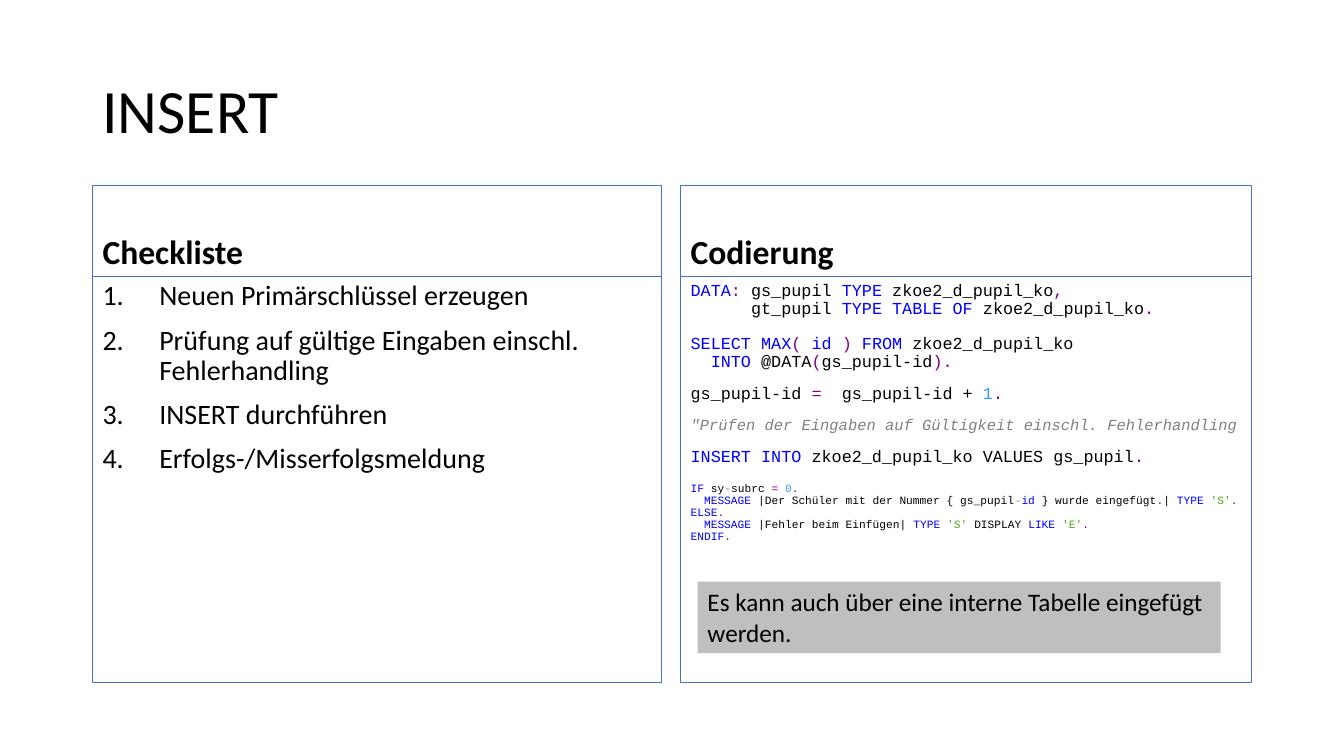
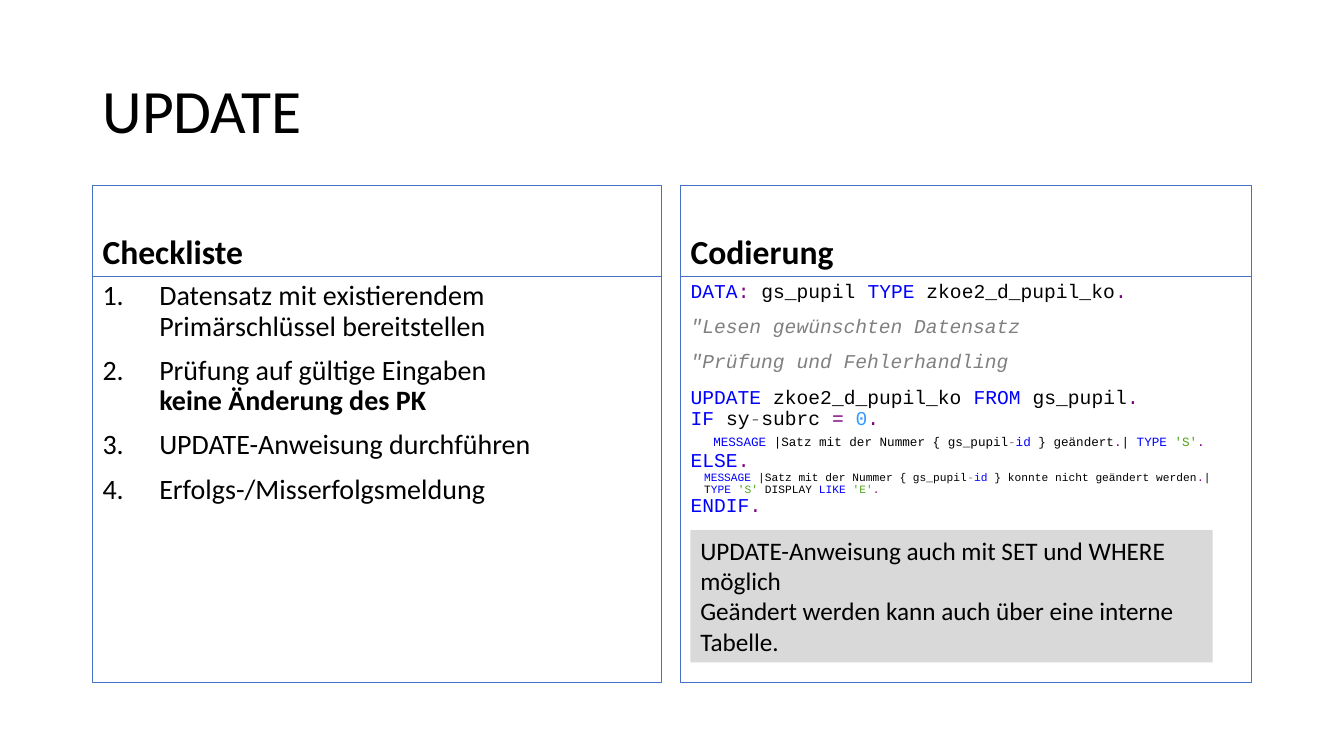
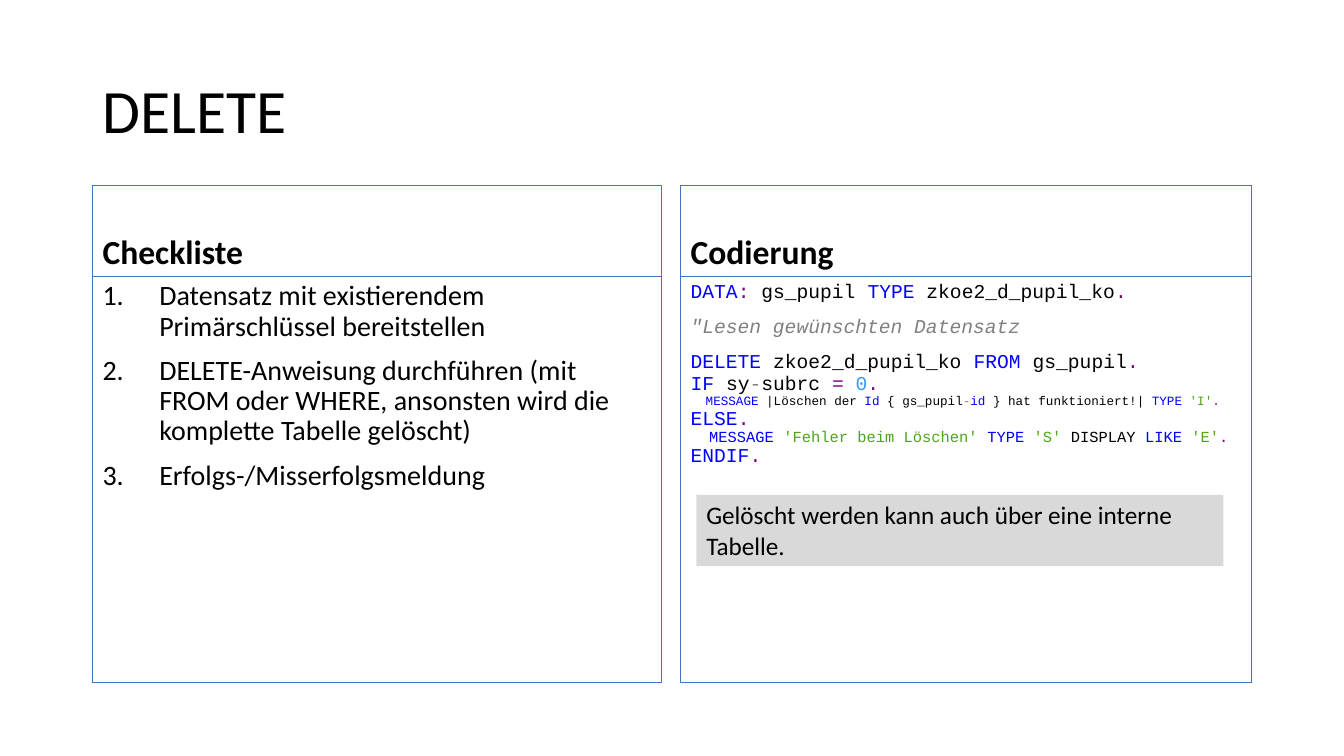
from dataclasses import dataclass

from lxml import etree
from pptx import Presentation
from pptx.dml.color import RGBColor
from pptx.enum.shapes import MSO_SHAPE
from pptx.enum.text import MSO_ANCHOR, MSO_AUTO_SIZE, PP_ALIGN
from pptx.oxml.ns import qn
from pptx.util import Cm, Pt

RECTANGLE = MSO_SHAPE.RECTANGLE
TOP, MIDDLE, BOTTOM = MSO_ANCHOR.TOP, MSO_ANCHOR.MIDDLE, MSO_ANCHOR.BOTTOM
NO_FIT, GROW = MSO_AUTO_SIZE.NONE, MSO_AUTO_SIZE.SHAPE_TO_FIT_TEXT
LEFT = PP_ALIGN.LEFT

BLACK = RGBColor(0x00, 0x00, 0x00)
FRAME_BLUE = RGBColor(0x44, 0x72, 0xC4)
KEYWORD_BLUE = RGBColor(0x00, 0x00, 0xFF)
SIGN_PURPLE = RGBColor(0x80, 0x00, 0x80)
NUMBER_BLUE = RGBColor(0x33, 0x99, 0xFF)
STRING_GREEN = RGBColor(0x4D, 0xA6, 0x19)
COMMENT_GREY = RGBColor(0x80, 0x80, 0x80)
NOTE_GREY = RGBColor(0xBF, 0xBF, 0xBF)
NOTE_LIGHT_GREY = RGBColor(0xD9, 0xD9, 0xD9)

TEXT_FONT, CODE_FONT = "Calibri", "Courier New"
CODE_CHARACTER_WIDTH = 0.6
COMPARISON_LAYOUT = 4

# "§" and a letter start a run in that colour; "§/" breaks the line, "§b" is bold.
COLOURS = {
    "t": BLACK,
    "b": BLACK,
    "k": KEYWORD_BLUE,
    "p": SIGN_PURPLE,
    "n": NUMBER_BLUE,
    "s": STRING_GREEN,
    "g": COMMENT_GREY,
    "c": COMMENT_GREY,
}

TITLE_BOX = (2.33, 1.02, 29.21, 3.68)
COLUMNS = ((2.33, 14.33), (17.15, 14.4))
HEADING_TOP, HEADING_HEIGHT, CONTENT_HEIGHT = 4.68, 2.29, 10.24
LIST_INDENT = Cm(1.43)


@dataclass
class CodeLine:
    """A line of marked-up code, indented by a number of characters."""
    markup: str
    size: int
    columns: int = 0
    space: int = 0


def place(shape, box):
    shape.left, shape.top, shape.width, shape.height = (Cm(value) for value in box)


def write(paragraph, markup, size, font=TEXT_FONT, bold=False, space=0,
          line_spacing=0.9, indent=0, hanging=0, numbered=False):
    """Fill a paragraph with marked-up text and format it."""
    paragraph.alignment = LEFT
    paragraph.line_spacing = line_spacing
    paragraph.space_before = Pt(space)
    properties = paragraph._p.get_or_add_pPr()
    properties.set("marL", str(int(indent)))
    properties.set("indent", str(-int(hanging)))
    if numbered:
        etree.SubElement(properties, qn("a:buAutoNum"), type="arabicPeriod")
    else:
        etree.SubElement(properties, qn("a:buNone"))
    for chunk in ("t" + markup.removeprefix("§t")
                  if not markup.startswith("§") else markup[1:]).split("§"):
        style, text = chunk[0], chunk[1:]
        if style == "/":
            paragraph.add_line_break()
            continue
        run = paragraph.add_run()
        run.text = text
        run.font.name = font
        run.font.size = Pt(size)
        run.font.bold = bold or style == "b"
        run.font.italic = style == "c"
        run.font.color.rgb = COLOURS[style]


def prepare(shape, anchor, auto_size=NO_FIT):
    frame = shape.text_frame
    frame.word_wrap = True
    frame.vertical_anchor = anchor
    frame.auto_size = auto_size
    return frame


def next_paragraph(frame, index):
    return frame.paragraphs[0] if index == 0 else frame.add_paragraph()


def add_framed_box(slide, number, column, top, height, anchor):
    """Move and outline a body placeholder, and return its text frame."""
    shape = slide.placeholders[number]
    left, width = COLUMNS[column]
    place(shape, (left, top, width, height))
    shape.line.color.rgb = FRAME_BLUE
    shape.line.width = Pt(0.75)
    return prepare(shape, anchor)


def add_title(slide, text):
    place(slide.shapes.title, TITLE_BOX)
    frame = prepare(slide.shapes.title, MIDDLE)
    write(frame.paragraphs[0], text, 44)


def add_heading(slide, column, text):
    frame = add_framed_box(slide, 1 + 2 * column, column,
                           HEADING_TOP, HEADING_HEIGHT, BOTTOM)
    write(frame.paragraphs[0], text, 24, bold=True, space=10)


def add_content(slide, column):
    return add_framed_box(slide, 2 + 2 * column, column,
                          HEADING_TOP + HEADING_HEIGHT, CONTENT_HEIGHT, TOP)


def add_checklist(slide, items):
    frame = add_content(slide, 0)
    for index, item in enumerate(items):
        write(next_paragraph(frame, index), item, 20, space=10,
              indent=LIST_INDENT, hanging=LIST_INDENT, numbered=True)


def add_code(slide, lines):
    frame = add_content(slide, 1)
    for index, line in enumerate(lines):
        write(next_paragraph(frame, index), line.markup, line.size,
              font=CODE_FONT, space=line.space,
              indent=Pt(line.columns * line.size * CODE_CHARACTER_WIDTH))


def add_note(slide, box, fill, texts):
    shape = slide.shapes.add_shape(RECTANGLE, *(Cm(value) for value in box))
    shape.shadow.inherit = False
    shape.fill.solid()
    shape.fill.fore_color.rgb = fill
    shape.line.fill.background()
    frame = prepare(shape, TOP, GROW)
    for index, text in enumerate(texts):
        write(next_paragraph(frame, index), text, 18, line_spacing=1.0)


def add_statement_slide(presentation, title, checklist, code, note):
    layout = presentation.slide_layouts[COMPARISON_LAYOUT]
    slide = presentation.slides.add_slide(layout)
    add_title(slide, title)
    add_heading(slide, 0, "Checkliste")
    add_checklist(slide, checklist)
    add_heading(slide, 1, "Codierung")
    add_code(slide, code)
    add_note(slide, *note)


RECORD_ITEM = "Datensatz mit existierendem Primärschlüssel bereitstellen"
RESULT_ITEM = "Erfolgs-/Misserfolgsmeldung"
DECLARATION = CodeLine("§kDATA§p: §tgs_pupil §kTYPE §tzkoe2_d_pupil_ko§p.", 14)
READ_COMMENT = CodeLine('§c"Lesen gewünschten Datensatz', 14, space=10)
IF_MARKUP = "§kIF §tsy§g-§tsubrc §p= §n0§p."
ELSE_MARKUP = "§kELSE§p."
ENDIF_MARKUP = "§kENDIF§p."

INSERT_CODE = (
    CodeLine("§kDATA§p: §tgs_pupil §kTYPE §tzkoe2_d_pupil_ko§p,", 12),
    CodeLine("§tgt_pupil §kTYPE TABLE OF §tzkoe2_d_pupil_ko§p.", 12, columns=6),
    CodeLine("§kSELECT MAX§p( §kid §p) §kFROM §tzkoe2_d_pupil_ko", 12, space=12),
    CodeLine("§kINTO §t@DATA§p(§tgs_pupil-id§p).", 12, columns=2),
    CodeLine("§tgs_pupil-id §p=  §tgs_pupil-id + §n1§p.", 12, space=10),
    CodeLine('§c"Prüfen der Eingaben auf Gültigkeit einschl. Fehlerhandling',
             11, space=10),
    CodeLine("§kINSERT INTO §tzkoe2_d_pupil_ko VALUES gs_pupil§p.", 12, space=10),
    CodeLine(IF_MARKUP, 8, space=12),
    CodeLine("§kMESSAGE §t|Der Schüler mit der Nummer { gs_pupil§g-§kid "
             "§t} wurde eingefügt§p.§t| §kTYPE §s'S'§p.", 8, columns=2),
    CodeLine(ELSE_MARKUP, 8),
    CodeLine("§kMESSAGE §t|Fehler beim Einfügen| §kTYPE §s'S' §tDISPLAY "
             "§kLIKE §s'E'§p.", 8, columns=2),
    CodeLine(ENDIF_MARKUP, 8),
)

UPDATE_CODE = (
    DECLARATION,
    READ_COMMENT,
    CodeLine('§c"Prüfung und Fehlerhandling', 14, space=10),
    CodeLine("§kUPDATE §tzkoe2_d_pupil_ko §kFROM §tgs_pupil§p.", 14, space=10),
    CodeLine(IF_MARKUP, 14),
    CodeLine("§kMESSAGE §t|Satz mit der Nummer { gs_pupil§g-§kid "
             "§t} geändert§p.§t| §kTYPE §s'S'§p.", 9, columns=3, space=4),
    CodeLine(ELSE_MARKUP, 14, space=1),
    CodeLine("§kMESSAGE §t|Satz mit der Nummer { gs_pupil§g-§kid "
             "§t} konnte nicht geändert werden§p.§t|", 8, columns=2),
    CodeLine("§tT§kYPE §s'S' §tDISPLAY §kLIKE §s'E'§p.", 8, columns=2),
    CodeLine(ENDIF_MARKUP, 14),
)

DELETE_CODE = (
    DECLARATION,
    READ_COMMENT,
    CodeLine("§kDELETE §tzkoe2_d_pupil_ko §kFROM §tgs_pupil§p.", 14, space=10),
    CodeLine(IF_MARKUP, 14),
    CodeLine("§kMESSAGE §t|Löschen der §kId §t{ gs_pupil§g-§kid "
             "§t} hat funktioniert!| §kTYPE §s'I'§p.", 9, columns=2),
    CodeLine(ELSE_MARKUP, 14),
    CodeLine("§kMESSAGE §s'Fehler beim Löschen' §kTYPE §s'S' §tDISPLAY "
             "§kLIKE §s'E'§p.", 11, columns=2),
    CodeLine(ENDIF_MARKUP, 14),
)


def main():
    presentation = Presentation()
    presentation.slide_width, presentation.slide_height = Cm(33.87), Cm(19.05)
    add_statement_slide(
        presentation, "INSERT",
        ("Neuen Primärschlüssel erzeugen",
         "Prüfung auf gültige Eingaben einschl. Fehlerhandling",
         "INSERT durchführen",
         RESULT_ITEM),
        INSERT_CODE,
        ((17.58, 14.66, 13.18, 1.8), NOTE_GREY,
         ("Es kann auch über eine interne Tabelle eingefügt werden.",)))
    add_statement_slide(
        presentation, "UPDATE",
        (RECORD_ITEM,
         "Prüfung auf gültige Eingaben§/§bkeine Änderung des PK",
         "UPDATE-Anweisung durchführen",
         RESULT_ITEM),
        UPDATE_CODE,
        ((17.4, 13.36, 13.16, 3.33), NOTE_LIGHT_GREY,
         ("UPDATE-Anweisung auch mit SET und WHERE möglich",
          "Geändert werden kann auch über eine interne Tabelle.")))
    add_statement_slide(
        presentation, "DELETE",
        (RECORD_ITEM,
         "DELETE-Anweisung durchführen (mit FROM oder WHERE, ansonsten wird "
         "die komplette Tabelle gelöscht)",
         RESULT_ITEM),
        DELETE_CODE,
        ((17.55, 12.47, 13.28, 1.8), NOTE_LIGHT_GREY,
         ("Gelöscht werden kann auch über eine interne Tabelle.",)))
    presentation.save("out.pptx")


if __name__ == "__main__":
    main()
